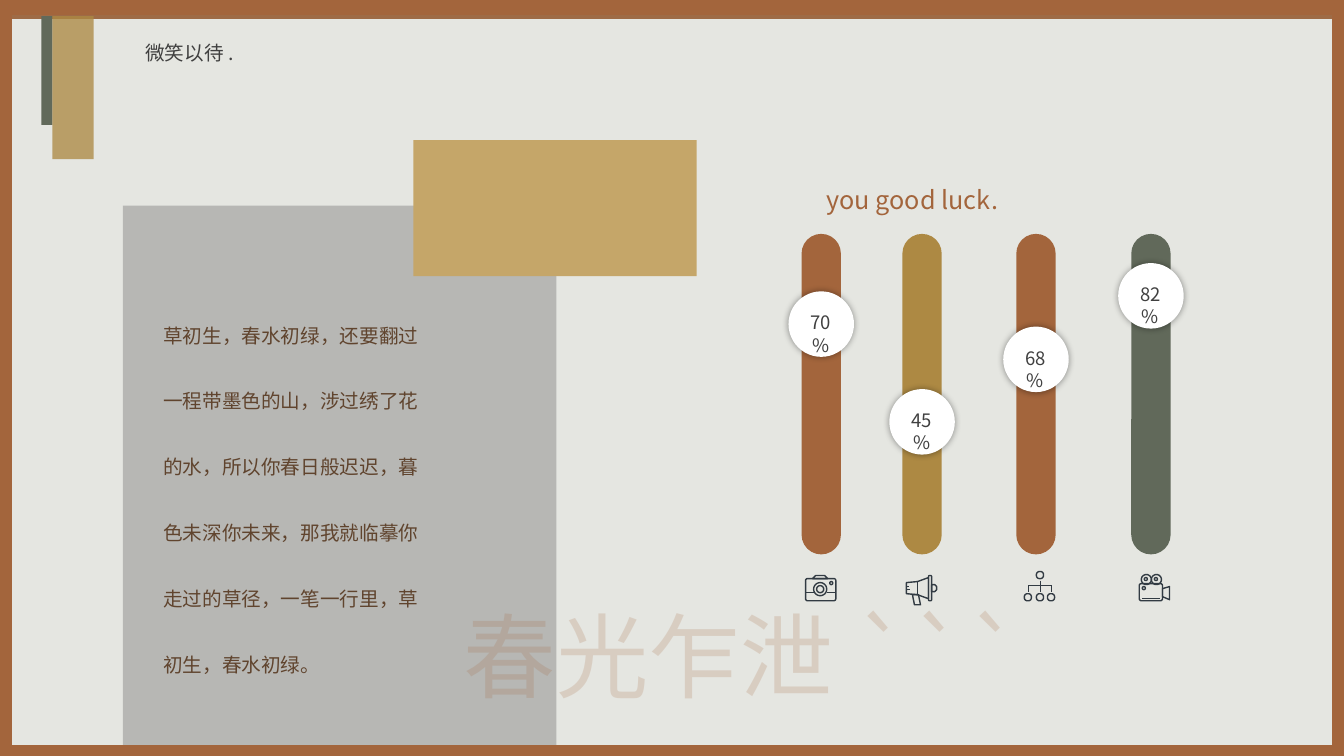
import math

import pptx
import pptx.dml.color
import pptx.enum.shapes
import pptx.enum.text
import pptx.oxml
import pptx.oxml.ns
import pptx.util
from lxml import etree

Inches, Pt = pptx.util.Inches, pptx.util.Pt
SHAPE = pptx.enum.shapes.MSO_SHAPE
ALIGN = pptx.enum.text.PP_ALIGN
ANCHOR = pptx.enum.text.MSO_ANCHOR
qn = pptx.oxml.ns.qn

FONT = "Noto Sans CJK SC"
RUST, GOLD, OLIVE = "A3653C", "AD8943", "61695A"
INK, ICON_INK = "404040", "323B43"


def rounded(x, y, width, height, radius):
    """Return the closed outline of a rounded box as points."""
    corners = [(x + width - radius, y + height - radius), (x + radius, y + height - radius),
               (x + radius, y + radius), (x + width - radius, y + radius)]
    points = []
    for quarter, (cx, cy) in enumerate(corners):
        for step in range(7):
            angle = math.radians(90 * quarter + 15 * step)
            points.append((cx + radius * math.cos(angle), cy + radius * math.sin(angle)))
    return points


def circle(x, y, size):
    return rounded(x, y, size, size, size / 2)


# Icon outlines in inches from the icon's corner; two points make a single stroke.
CAMERA = [
    rounded(0.01, 0.04, 0.3, 0.22, 0.02),
    [(0.08, 0.04), (0.11, 0.01), (0.2, 0.01), (0.23, 0.04)],
    circle(0.09, 0.08, 0.13),
    circle(0.12, 0.11, 0.07),
    circle(0.25, 0.07, 0.03),
    [(0.01, 0.18), (0.09, 0.18)],
    [(0.22, 0.18), (0.31, 0.18)],
]
MEGAPHONE = [
    [(0.01, 0.08), (0.12, 0.07), (0.23, 0.03), (0.23, 0.24), (0.12, 0.2), (0.01, 0.19)],
    [(0.07, 0.2), (0.13, 0.2), (0.15, 0.3), (0.09, 0.3)],
    [(0.12, 0.07), (0.12, 0.2)],
    [(0.01, 0.12), (0.04, 0.12)],
    [(0.01, 0.15), (0.05, 0.15)],
    rounded(0.23, 0.01, 0.03, 0.25, 0.01),
    [(0.26, 0.1), (0.29, 0.1), (0.31, 0.12), (0.31, 0.15), (0.29, 0.17), (0.26, 0.17)],
]
ORG_TREE = [
    rounded(0.12, 0.01, 0.07, 0.07, 0.03),
    [(0.16, 0.1), (0.16, 0.15)],
    [(0.04, 0.15), (0.27, 0.15)],
]
for branch in (0.04, 0.16, 0.27):
    ORG_TREE += [rounded(branch - 0.04, 0.23, 0.07, 0.07, 0.03),
                 [(branch, 0.15), (branch, 0.21)]]
VIDEO = [
    rounded(0.01, 0.1, 0.23, 0.17, 0.02),
    circle(0.03, 0.01, 0.1),
    circle(0.13, 0.01, 0.1),
    circle(0.06, 0.04, 0.03),
    circle(0.16, 0.04, 0.03),
    circle(0.04, 0.13, 0.03),
    [(0.24, 0.15), (0.31, 0.13), (0.31, 0.26), (0.24, 0.23)],
    [(0.04, 0.25), (0.22, 0.25)],
]

# Bar left, colour, knob top, value, icon outlines, icon corner
SLIDERS = [
    (7.95, RUST, 2.89, "70%", CAMERA, (7.98, 5.7)),
    (8.95, GOLD, 3.86, "45%", MEGAPHONE, (8.98, 5.7)),
    (10.08, RUST, 3.24, "68%", ORG_TREE, (10.16, 5.66)),
    (11.22, OLIVE, 2.61, "82%", VIDEO, (11.29, 5.69)),
]


def paint(fill, color, alpha=None):
    """Apply a solid colour to a fill, with opacity in percent."""
    fill.solid()
    fill.fore_color.rgb = pptx.dml.color.RGBColor.from_string(color)
    if alpha is not None:
        solid = fill._xPr.find(qn("a:solidFill"))
        etree.SubElement(solid[0], qn("a:alpha"), val=str(alpha * 1000))


def block(slide, box, color, alpha=None, kind=SHAPE.RECTANGLE):
    shape = slide.shapes.add_shape(kind, *map(Inches, box))
    shape.shadow.inherit = False
    shape.line.fill.background()
    paint(shape.fill, color, alpha)
    return shape


def write(frame, text, size, color, align=ALIGN.LEFT, spacing=None, alpha=None, anchor=ANCHOR.TOP):
    frame.word_wrap = True
    frame.auto_size = pptx.enum.text.MSO_AUTO_SIZE.NONE
    frame.vertical_anchor = anchor
    frame.text = text
    paragraph = frame.paragraphs[0]
    paragraph.alignment = align
    if spacing:
        paragraph.line_spacing = spacing
    font = paragraph.font
    font.size = Pt(size)
    font.name = FONT
    paint(font.fill, color, alpha)
    defaults = paragraph._p.pPr.find(qn("a:defRPr"))
    etree.SubElement(defaults, qn("a:ea"), typeface=FONT)


def text_box(slide, box, *args, **kwargs):
    frame = slide.shapes.add_textbox(*map(Inches, box)).text_frame
    write(frame, *args, **kwargs)
    return frame


def draw_frame(slide, box):
    left, top, width, height = box
    paint(slide.background.fill, RUST)
    block(slide, (left, top + 0.04, width, height - 0.04), "F8F7F5")
    block(slide, box, "848E7C", 16)


def draw_header(slide, left, top):
    block(slide, (left, top, 0.11, 1.08), OLIVE)
    block(slide, (left + 0.11, top, 0.41, 1.42), GOLD, 77)
    title = slide.shapes.title
    title.left, title.top = Inches(left + 0.93), Inches(top + 0.2)
    title.width, title.height = Inches(2.76), Inches(0.34)
    write(title.text_frame, "微笑以待 .", 14, INK, ALIGN.JUSTIFY)
    title._element.getparent().append(title._element)  # in front of the panel


def draw_icon(slide, corner, outlines):
    left, top = corner
    pen = None
    for outline in outlines:
        start, *rest = [(Inches(left + x), Inches(top + y)) for x, y in outline]
        if pen is None:
            pen = slide.shapes.build_freeform(*start)
        else:
            pen.move_to(*start)
        pen.add_line_segments(rest, close=len(rest) > 1)
    icon = pen.convert_to_shape()
    icon.shadow.inherit = False
    icon.fill.background()
    icon.line.width = Pt(1)
    paint(icon.line.fill, ICON_INK)


def draw_slider(slide, left, top, color, knob_top, value):
    bar = block(slide, (left, top, 0.39, 3.18), color, kind=SHAPE.ROUNDED_RECTANGLE)
    bar.adjustments[0] = 0.5
    knob_left = left - 0.13
    knob = block(slide, (knob_left, knob_top, 0.65, 0.65), "FFFFFF", kind=SHAPE.OVAL)
    glow = etree.SubElement(knob._element.spPr.find(qn("a:effectLst")), qn("a:outerShdw"),
                            blurRad=str(Pt(5)), dist="0", dir="0", algn="ctr")
    shade = etree.SubElement(glow, qn("a:srgbClr"), val="000000")
    etree.SubElement(shade, qn("a:alpha"), val="40000")
    label = text_box(slide, (knob_left + 0.01, knob_top + 0.13, 0.62, 0.57),
                     value, 13.2, INK, ALIGN.CENTER)
    label.margin_left = label.margin_right = Inches(0.13)
    label.margin_top = label.margin_bottom = Inches(0.07)


def draw_poem(slide, box):
    left, top, _, _ = box
    block(slide, box, INK, 28)
    text_box(slide, (left + 0.3, top + 0.7, 2.78, 4.05),
             "草初生，春水初绿，还要翻过一程带墨色的山，涉过绣了花的水，所以你春日般迟迟，"
             "暮色未深你未来，那我就临摹你走过的草径，一笔一行里，草初生，春水初绿。",
             14, "60442E", spacing=2.8)
    text_box(slide, (left + 3.28, top + 3.66, 6.47, 1.14), "春光乍泄 ```", 66, RUST,
             ALIGN.JUSTIFY, 1.4, alpha=19, anchor=ANCHOR.MIDDLE)
    block(slide, (left + 2.88, top - 0.65, 2.81, 1.35), "C5A669")


def main():
    deck = pptx.Presentation()
    deck.slide_width, deck.slide_height = Inches(13.33), Inches(7.5)
    slide = deck.slides.add_slide(deck.slide_layouts[5])
    draw_frame(slide, (0.12, 0.15, 13.09, 7.24))
    draw_header(slide, 0.41, 0.16)
    for left, color, knob_top, value, icon, corner in SLIDERS:
        draw_slider(slide, left, 2.32, color, knob_top, value)
        draw_icon(slide, corner, icon)
    draw_poem(slide, (1.22, 2.04, 4.3, 5.35))
    text_box(slide, (8.1, 1.24, 3.63, 0.95), "you good luck.", 18, RUST, ALIGN.JUSTIFY, 2.8)
    deck.save("out.pptx")


if __name__ == "__main__":
    main()
